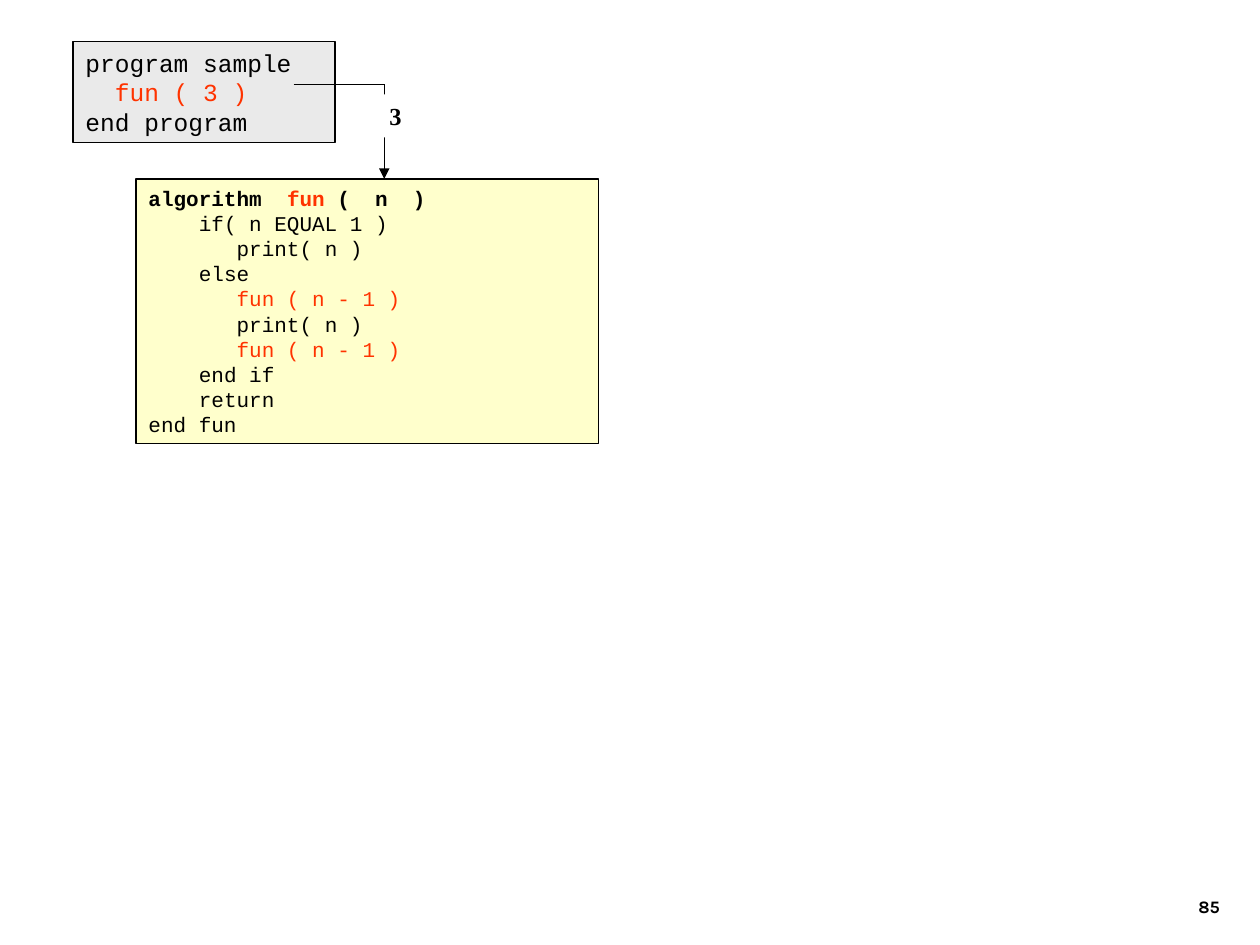
from dataclasses import dataclass

from lxml.etree import SubElement
from pptx import Presentation
from pptx.dml.color import RGBColor
from pptx.enum.shapes import MSO_CONNECTOR, MSO_SHAPE
from pptx.enum.text import MSO_ANCHOR, PP_ALIGN
from pptx.oxml.ns import qn
from pptx.util import Inches, Pt


@dataclass(frozen=True)
class Theme:
    black: str = "000000"
    call: str = "FF3300"
    caller_fill: str = "EAEAEA"
    algorithm_fill: str = "FFFFCC"
    white: str = "FFFFFF"
    code_font: str = "Courier New"
    label_font: str = "Times New Roman"
    number_font: str = "Karla"
    caller_size: int = 14
    algorithm_size: int = 12
    label_size: int = 14
    number_size: int = 10
    line_width: float = 0.75


THEME = Theme()
CODE_ADVANCE = 0.6  # width of one monospaced letter, in ems

# Each line of code: indent in letters, then (text, is a call, is bold) runs
CALLER_CODE = [
    (0, [("program sample", False, False)]),
    (2, [("fun ( 3 )", True, False)]),
    (0, [("end program", False, False)]),
]
ALGORITHM_CODE = [
    (0, [("algorithm  ", False, True), ("fun ", True, True), ("(  n  )", False, True)]),
    (4, [("if( n EQUAL 1 )", False, False)]),
    (7, [("print( n )", False, False)]),
    (4, [("else", False, False)]),
    (7, [("fun ( n - 1 )", True, False)]),
    (7, [("print( n )", False, False)]),
    (7, [("fun ( n - 1 )", True, False)]),
    (4, [("end if", False, False)]),
    (4, [("return", False, False)]),
    (0, [("end fun", False, False)]),
]


def set_attributes(target, values):
    for name, value in values.items():
        setattr(target, name, value)


def add_run(paragraph, text, font, size, color=THEME.black, bold=False):
    run = paragraph.add_run()
    run.text = text
    set_attributes(run.font, {"name": font, "size": Pt(size), "bold": bold})
    run.font.color.rgb = RGBColor.from_string(color)


def add_box(slide, box, fill, outlined=True):
    shape = slide.shapes.add_shape(MSO_SHAPE.RECTANGLE, *map(Inches, box))
    shape.shadow.inherit = False
    shape.fill.solid()
    shape.fill.fore_color.rgb = RGBColor.from_string(fill)
    if outlined:
        shape.line.color.rgb = RGBColor.from_string(THEME.black)
        shape.line.width = Pt(THEME.line_width)
    else:
        shape.line.fill.background()
    set_attributes(shape.text_frame, {"vertical_anchor": MSO_ANCHOR.TOP, "word_wrap": True})
    shape.text_frame.paragraphs[0].alignment = PP_ALIGN.LEFT
    return shape


def add_code_box(slide, box, fill, size, code):
    frame = add_box(slide, box, fill).text_frame
    for index, (indent, runs) in enumerate(code):
        paragraph = frame.add_paragraph() if index else frame.paragraphs[0]
        paragraph.alignment = PP_ALIGN.LEFT
        margin = Pt(indent * size * CODE_ADVANCE)
        paragraph._p.get_or_add_pPr().set("marL", str(margin))
        for text, is_call, bold in runs:
            color = THEME.call if is_call else THEME.black
            add_run(paragraph, text, THEME.code_font, size, color, bold)


def add_line(slide, start, end, arrow=False):
    line = slide.shapes.add_connector(MSO_CONNECTOR.STRAIGHT, *map(Inches, start + end))
    line.line.color.rgb = RGBColor.from_string(THEME.black)
    line.line.width = Pt(THEME.line_width)
    if arrow:
        SubElement(line.line._get_or_add_ln(), qn("a:tailEnd"), type="triangle")
    SubElement(line._element.spPr, qn("a:effectLst"))


def add_argument_path(slide, box):
    left, top, width, height = box
    corner = (left + width, top)
    add_line(slide, (left, top), corner)
    add_line(slide, corner, (left + width, top + height), arrow=True)
    # The passed value interrupts the arrow
    label_box = (corner[0] - 0.15, top + 0.08, 0.39, 0.34)
    frame = add_box(slide, label_box, THEME.white, outlined=False).text_frame
    set_attributes(frame, {"margin_left": Inches(0.19), "word_wrap": False})
    add_run(frame.paragraphs[0], "3", THEME.label_font, THEME.label_size, bold=True)


def add_page_number(slide, box):
    frame = slide.shapes.add_textbox(*map(Inches, box)).text_frame
    set_attributes(frame, {"word_wrap": True, "vertical_anchor": MSO_ANCHOR.BOTTOM})
    paragraph = frame.paragraphs[0]
    paragraph.alignment = PP_ALIGN.RIGHT
    add_run(paragraph, "85", THEME.number_font, THEME.number_size, bold=True)


def main():
    presentation = Presentation()
    set_attributes(presentation, {"slide_width": Inches(10), "slide_height": Inches(7.5)})
    slide = presentation.slides.add_slide(presentation.slide_layouts[6])

    add_page_number(slide, (7.7, 6.83, 2.08, 0.5))
    # Called algorithm and its caller
    add_code_box(slide, (1.08, 1.42, 3.67, 2.1), THEME.algorithm_fill,
                 THEME.algorithm_size, ALGORITHM_CODE)
    add_code_box(slide, (0.58, 0.33, 2.08, 0.8), THEME.caller_fill,
                 THEME.caller_size, CALLER_CODE)
    # Argument passed from the call to the algorithm
    add_argument_path(slide, (2.33, 0.67, 0.72, 0.75))

    presentation.save("out.pptx")


if __name__ == "__main__":
    main()
